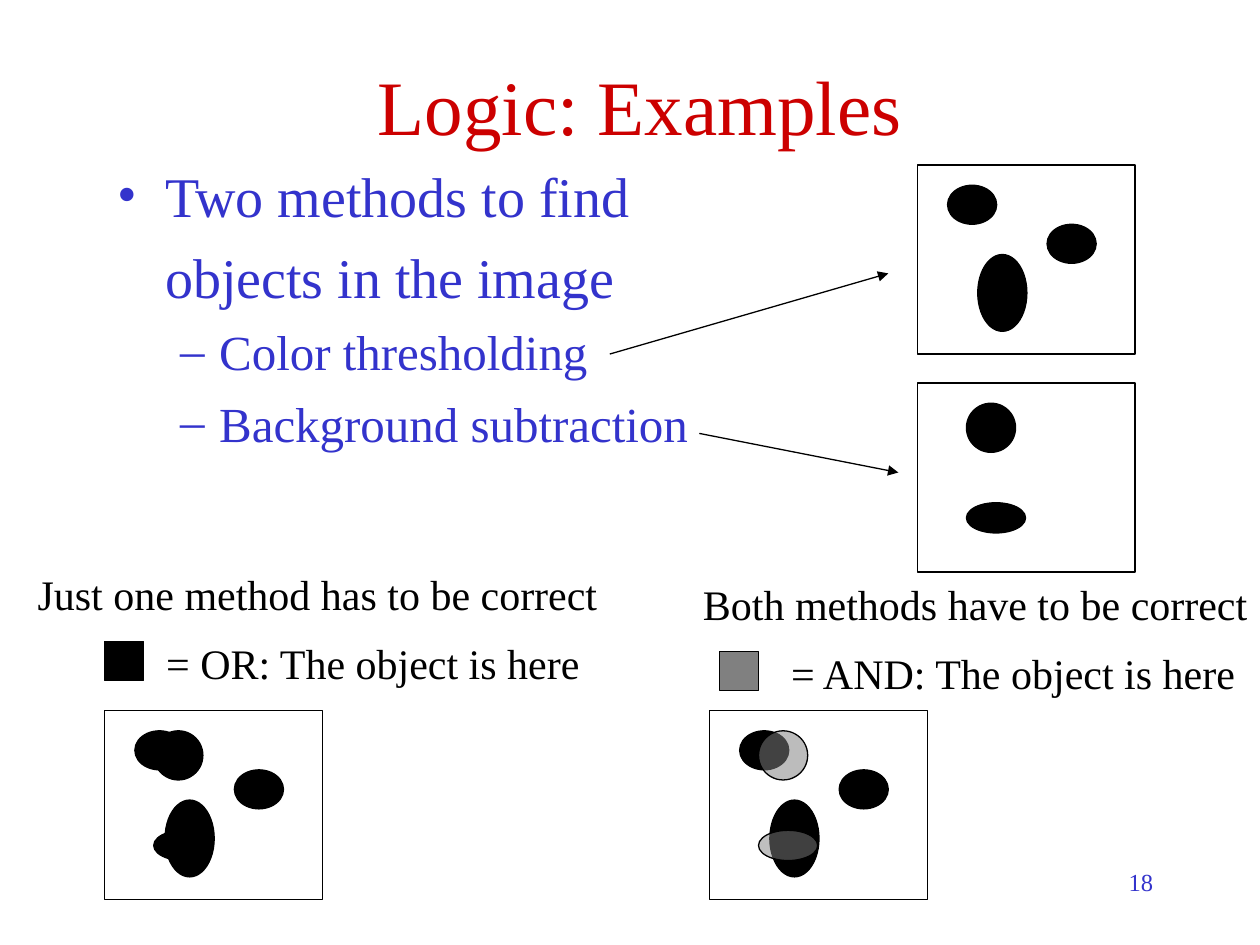
"""Build the slide on combining two object detectors with OR and AND."""
from dataclasses import dataclass

from lxml import etree
from pptx import Presentation
from pptx.dml.color import RGBColor
from pptx.enum.shapes import MSO_CONNECTOR, MSO_SHAPE
from pptx.enum.text import MSO_ANCHOR, MSO_AUTO_SIZE, PP_ALIGN
from pptx.oxml.ns import qn
from pptx.util import Inches, Pt

RECT, OVAL = MSO_SHAPE.RECTANGLE, MSO_SHAPE.OVAL
STRAIGHT = MSO_CONNECTOR.STRAIGHT
LEFT, CENTER, RIGHT = PP_ALIGN.LEFT, PP_ALIGN.CENTER, PP_ALIGN.RIGHT
MIDDLE, TOP = MSO_ANCHOR.MIDDLE, MSO_ANCHOR.TOP
NO_FIT, GROW = MSO_AUTO_SIZE.NONE, MSO_AUTO_SIZE.SHAPE_TO_FIT_TEXT
FACE = "Times New Roman"
BLACK, GRAY, RED, BLUE = "000000", "808080", "CC0000", "3333CC"
FRAME_SIZE = (1.73, 1.5)
SWATCH_SIZE = (0.31, 0.31)


@dataclass
class Blob:
    left: float
    top: float
    width: float
    height: float
    fill: str = BLACK
    alpha: int = 100


@dataclass
class Scene:
    left: float
    top: float
    blobs: list[Blob]


@dataclass
class Point:
    text: str
    size: int
    before: int
    margin: float
    hanging: float
    bullet: str = ""
    level: int = 0


@dataclass
class Label:
    text: str
    box: tuple[float, float, float, float]


THRESHOLDED = [
    Blob(0.24, 0.16, 0.39, 0.31),
    Blob(0.48, 0.71, 0.39, 0.61),
    Blob(1.03, 0.47, 0.39, 0.31),
]
ELLIPSE_BOX, CIRCLE_BOX = (0.39, 0.95, 0.47, 0.24), (0.39, 0.16, 0.39, 0.39)
SUBTRACTED = [Blob(*ELLIPSE_BOX), Blob(*CIRCLE_BOX)]
OVERLAID = [Blob(*ELLIPSE_BOX, GRAY, 50), Blob(*CIRCLE_BOX, GRAY, 52)]

SCENES = [
    Scene(7.28, 1.31, THRESHOLDED),
    Scene(7.28, 3.04, SUBTRACTED),
    Scene(0.83, 5.64, SUBTRACTED + THRESHOLDED),
    Scene(5.63, 5.64, THRESHOLDED + OVERLAID),
]
ARROWS = [(4.84, 2.81, 7.05, 2.17), (5.55, 3.44, 7.13, 3.75)]
SWATCHES = [(5.71, 5.17, GRAY), (0.83, 5.09, BLACK)]
POINTS = [
    Point("Two methods to find", 32, 8, 0.38, -0.38, "•"),
    Point("objects in the image", 32, 8, 0.38, 0),
    Point("Color thresholding", 28, 7, 0.81, -0.31, "–", 1),
    Point("Background subtraction", 28, 7, 0.81, -0.31, "–", 1),
]
LABELS = [
    Label("= OR: The object is here", (1.22, 5.01, 3.49, 0.5)),
    Label("= AND: The object is here", (6.18, 5.09, 3.75, 0.5)),
    Label("Just one method has to be correct", (0.2, 4.46, 4.64, 0.5)),
    Label("Both methods have to be correct", (5.48, 4.54, 4.52, 0.5)),
]


def color(value: str) -> RGBColor:
    return RGBColor.from_string(value)


def set_values(target, values: dict) -> None:
    for name, value in values.items():
        setattr(target, name, value)


def place(shape, box: tuple) -> None:
    names = ("left", "top", "width", "height")
    set_values(shape, {name: Inches(length) for name, length in zip(names, box)})


def write(paragraph, text: str, size: int, ink: str, align=LEFT) -> None:
    paragraph.alignment = align
    run = paragraph.add_run()
    run.text = text
    set_values(run.font, {"name": FACE, "size": Pt(size)})
    run.font.color.rgb = color(ink)


def draw_shape(shapes, kind, box: tuple, fill: str = "", alpha: int = 100) -> None:
    shape = shapes.add_shape(kind, *map(Inches, box))
    shape.shadow.inherit = False
    shape.line.color.rgb = color(BLACK)
    shape.line.width = Pt(0.75)
    if not fill:
        shape.fill.background()
        return
    shape.fill.solid()
    shape.fill.fore_color.rgb = color(fill)
    if alpha < 100:
        ink = shape._element.spPr.find(qn("a:solidFill"))[0]
        etree.SubElement(ink, qn("a:alpha"), val=str(alpha * 1000))


def draw_scene(slide, scene: Scene) -> None:
    shapes = slide.shapes.add_group_shape().shapes
    draw_shape(shapes, RECT, (scene.left, scene.top, *FRAME_SIZE))
    for blob in scene.blobs:
        box = (scene.left + blob.left, scene.top + blob.top, blob.width, blob.height)
        draw_shape(shapes, OVAL, box, blob.fill, blob.alpha)


def draw_arrow(slide, ends: tuple) -> None:
    arrow = slide.shapes.add_connector(STRAIGHT, *map(Inches, ends))
    arrow.line.color.rgb = color(BLACK)
    arrow.line.width = Pt(0.75)
    etree.SubElement(arrow.line._get_or_add_ln(), qn("a:tailEnd"), type="triangle")
    etree.SubElement(arrow._element.spPr, qn("a:effectLst"))


def write_point(paragraph, point: Point) -> None:
    set_values(paragraph, {"level": point.level, "space_before": Pt(point.before)})
    write(paragraph, point.text, point.size, BLUE)
    properties = paragraph._p.get_or_add_pPr()
    properties.set("marL", str(Inches(point.margin)))
    properties.set("indent", str(Inches(point.hanging)))
    if point.bullet:
        bullet_color = etree.SubElement(properties, qn("a:buClr"))
        etree.SubElement(bullet_color, qn("a:srgbClr"), val=BLUE)
        etree.SubElement(properties, qn("a:buFont"), typeface=FACE)
        etree.SubElement(properties, qn("a:buChar"), char=point.bullet)
    else:
        etree.SubElement(properties, qn("a:buNone"))


def add_text(slide, label: Label, size: int, ink: str, align, frame_format: dict) -> None:
    frame = slide.shapes.add_textbox(*map(Inches, label.box)).text_frame
    set_values(frame, frame_format)
    write(frame.paragraphs[0], label.text, size, ink, align)


def main() -> None:
    deck = Presentation()
    set_values(deck, {"slide_width": Inches(10), "slide_height": Inches(7.5)})
    slide = deck.slides.add_slide(deck.slide_layouts[1])
    title, methods = slide.placeholders

    place(title, (0.83, 0.21, 8.5, 1.25))
    set_values(title.text_frame, {"auto_size": NO_FIT, "vertical_anchor": MIDDLE})
    write(title.text_frame.paragraphs[0], "Logic: Examples", 44, RED, CENTER)

    place(methods, (0.83, 1.23, 8.5, 4.5))
    outline = methods.text_frame
    set_values(outline, {"auto_size": NO_FIT, "vertical_anchor": TOP})
    for number, point in enumerate(POINTS):
        write_point(outline.add_paragraph() if number else outline.paragraphs[0], point)

    for scene in SCENES:
        draw_scene(slide, scene)
    for ends in ARROWS:
        draw_arrow(slide, ends)
    for left, top, fill in SWATCHES:
        draw_shape(slide.shapes, RECT, (left, top, *SWATCH_SIZE), fill)
    for label in LABELS:
        add_text(slide, label, 24, BLACK, LEFT, {"word_wrap": False, "auto_size": GROW})
    page_number = Label("18", (7.17, 6.83, 2.08, 0.5))
    add_text(slide, page_number, 14, BLUE, RIGHT, {"word_wrap": True})
    deck.save("out.pptx")


if __name__ == "__main__":
    main()
